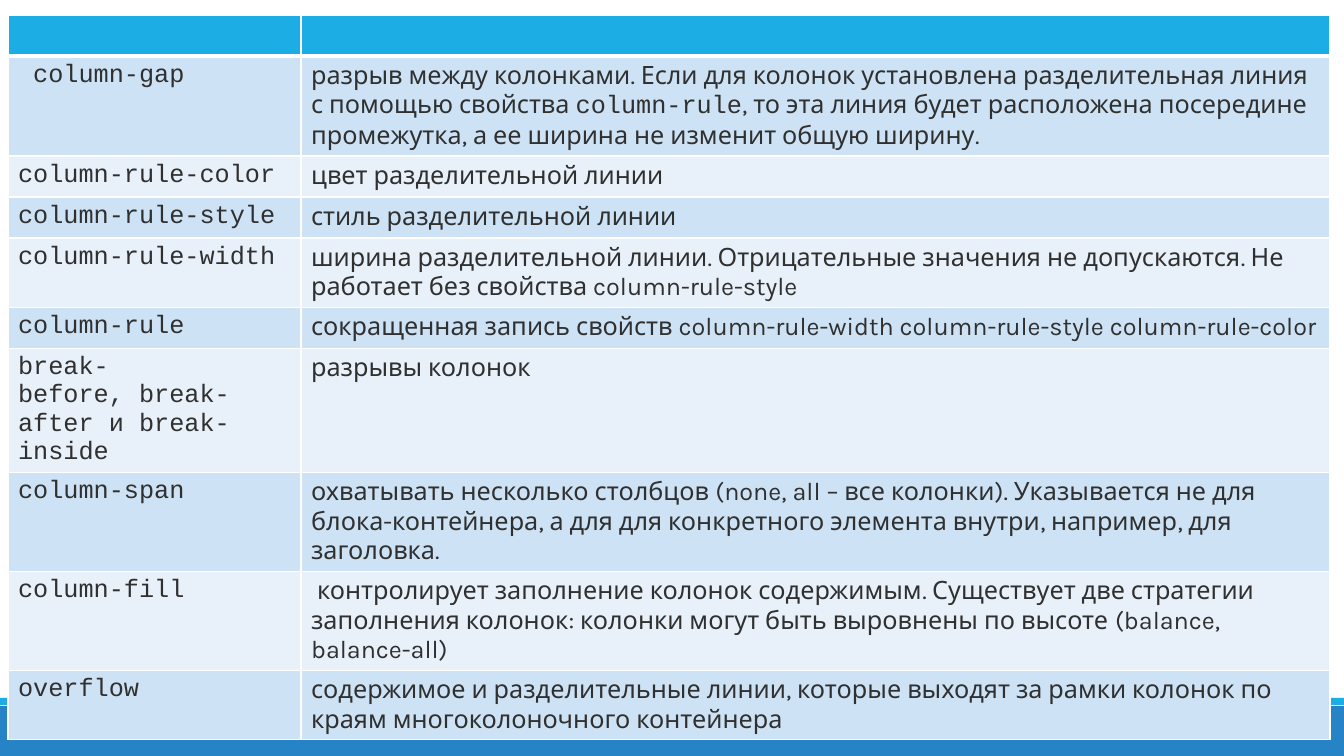
import pptx
import pptx.util
import pptx.dml.color
import pptx.enum.shapes
import lxml.etree

SCALE = 914400 / 100.8
COLORS = {"head": "1CADE4", "band": "2683C6", "dark": "CDE3F5",
          "light": "E8F1FA", "text": "303030", "line": "FFFFFF"}
CODE, BODY = "Courier New", "Karla"
COLS = [293, 1029]
ROW = 41
HARD = chr(160)  # no-break space, marked by "_" in the texts below

# Property name and the runs of its description
ROWS = [
    ("_column-gap", [
        ("разрыв между колонками. Если для колонок установлена разделительная "
         "линия с помощью свойства_", BODY),
        ("column-rule", CODE),
        (", то эта линия будет расположена посередине промежутка, а ее ширина "
         "не изменит общую ширину.", BODY)]),
    ("column-rule-color", [("цвет разделительной линии", BODY)]),
    ("column-rule-style", [("стиль разделительной линии", BODY)]),
    ("column-rule-width", [
        ("ширина разделительной линии. Отрицательные значения не допускаются. "
         "Не работает без свойства_column-rule-style", BODY)]),
    ("column-rule", [
        ("сокращенная запись свойств_column-rule-width_column-rule-style_"
         "column-rule-color", BODY)]),
    ("break-before,_break-after_и_break-inside", [("разрывы колонок", BODY)]),
    ("column-span", [
        ("охватывать несколько столбцов (none, all – все колонки). Указывается "
         "не для блока-контейнера, а для для конкретного элемента внутри, "
         "например, для заголовка.", BODY)]),
    ("column-fill", [
        ("_контролирует заполнение колонок содержимым. Существует две "
         "стратегии заполнения колонок: колонки могут быть выровнены по высоте "
         "(balance, balance-all)", BODY)]),
    ("overflow", [
        ("содержимое и разделительные линии, которые выходят за рамки колонок "
         "по краям многоколоночного контейнера", BODY)]),
]


def px(n):
    return pptx.util.Emu(round(n * SCALE))


def paint(fill, name):
    fill.solid()
    fill.fore_color.rgb = pptx.dml.color.RGBColor.from_string(COLORS[name])


def add_bar(slide, top, height, color):
    kind = pptx.enum.shapes.MSO_SHAPE.RECTANGLE
    bar = slide.shapes.add_shape(kind, 0, px(top), px(1344), px(height))
    bar.shadow.inherit = False
    bar.line.fill.background()
    paint(bar.fill, color)


def edge(cell, weights):
    """Draw cell borders; weights maps a side (L, R, T, B) to points."""
    space = "{http://schemas.openxmlformats.org/drawingml/2006/main}"
    props = cell._tc.get_or_add_tcPr()
    for i, (side, weight) in enumerate(weights.items()):
        line = lxml.etree.Element(space + "ln" + side,
                                  w=str(pptx.util.Pt(weight)))
        fill = lxml.etree.SubElement(line, space + "solidFill")
        lxml.etree.SubElement(fill, space + "srgbClr", val=COLORS["line"])
        props.insert(i, line)


def fill_cell(cell, runs, color):
    paint(cell.fill, color)
    para = cell.text_frame.paragraphs[0]
    for text, face in runs:
        run = para.add_run()
        run.text = text.replace("_", HARD)
        run.font.name = face
        run.font.size = pptx.util.Pt(18)
        paint(run.font.fill, "text")


def add_grid(slide, left, top):
    count = len(ROWS) + 1
    frame = slide.shapes.add_table(count, len(COLS), px(left), px(top),
                                   px(sum(COLS)), px(ROW * count))
    table = frame.table
    for col, width in zip(table.columns, COLS):
        col.width = px(width)
    for row in table.rows:
        row.height = px(ROW)

    # Empty header with a thick rule below, then rows in two shades
    for cell in table.rows[0].cells:
        paint(cell.fill, "head")
        edge(cell, {"L": 1, "R": 1, "T": 1, "B": 3})
    for i, (name, runs) in enumerate(ROWS, 1):
        shade = "dark" if i % 2 else "light"
        fill_cell(table.cell(i, 0), [(name, CODE)], shade)
        fill_cell(table.cell(i, 1), runs, shade)
        for cell in table.rows[i].cells:
            edge(cell, {"L": 1, "R": 1, "T": 3 if i == 1 else 1, "B": 1})


def main():
    deck = pptx.Presentation()
    deck.slide_width, deck.slide_height = px(1344), px(756)
    slide = deck.slides.add_slide(deck.slide_layouts[6])

    # Footer bars
    add_bar(slide, 706, 50, "band")
    add_bar(slide, 698, 7, "head")

    # Table of column properties
    add_grid(slide, 8, 15)
    deck.save("out.pptx")


if __name__ == "__main__":
    main()
